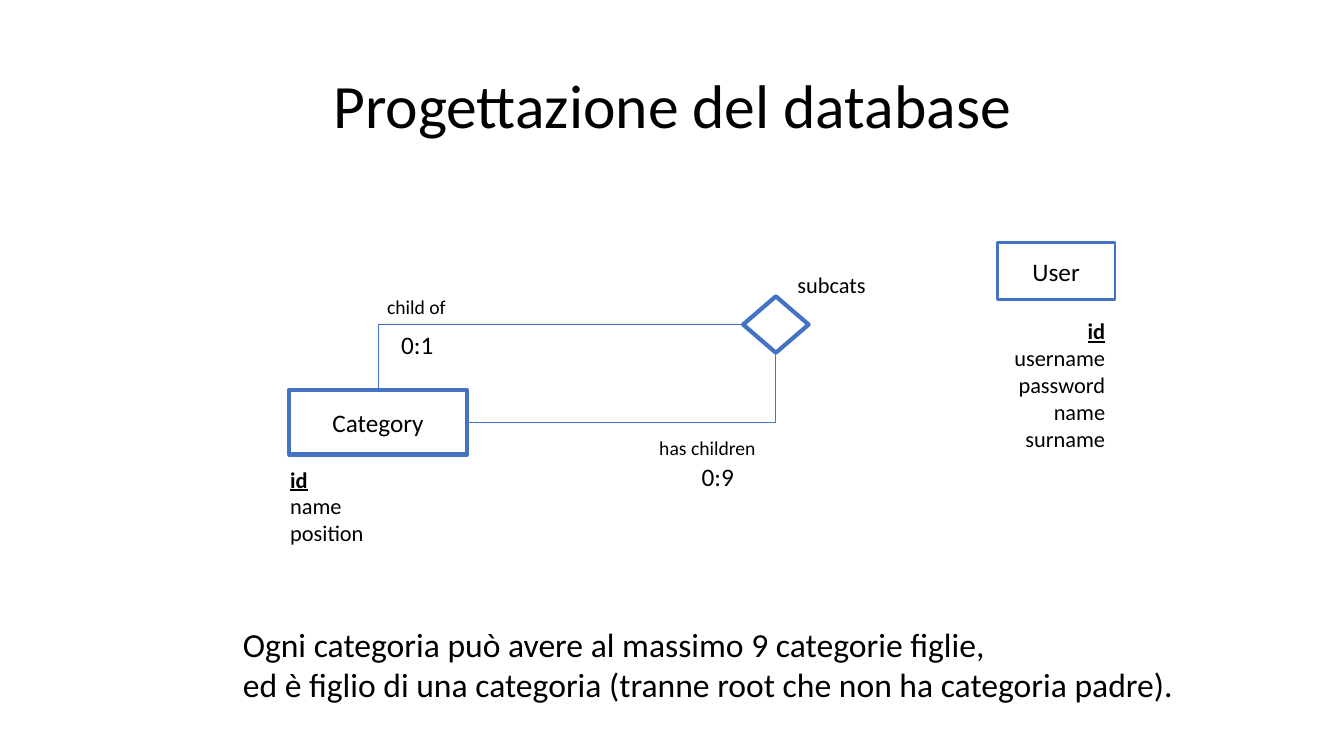
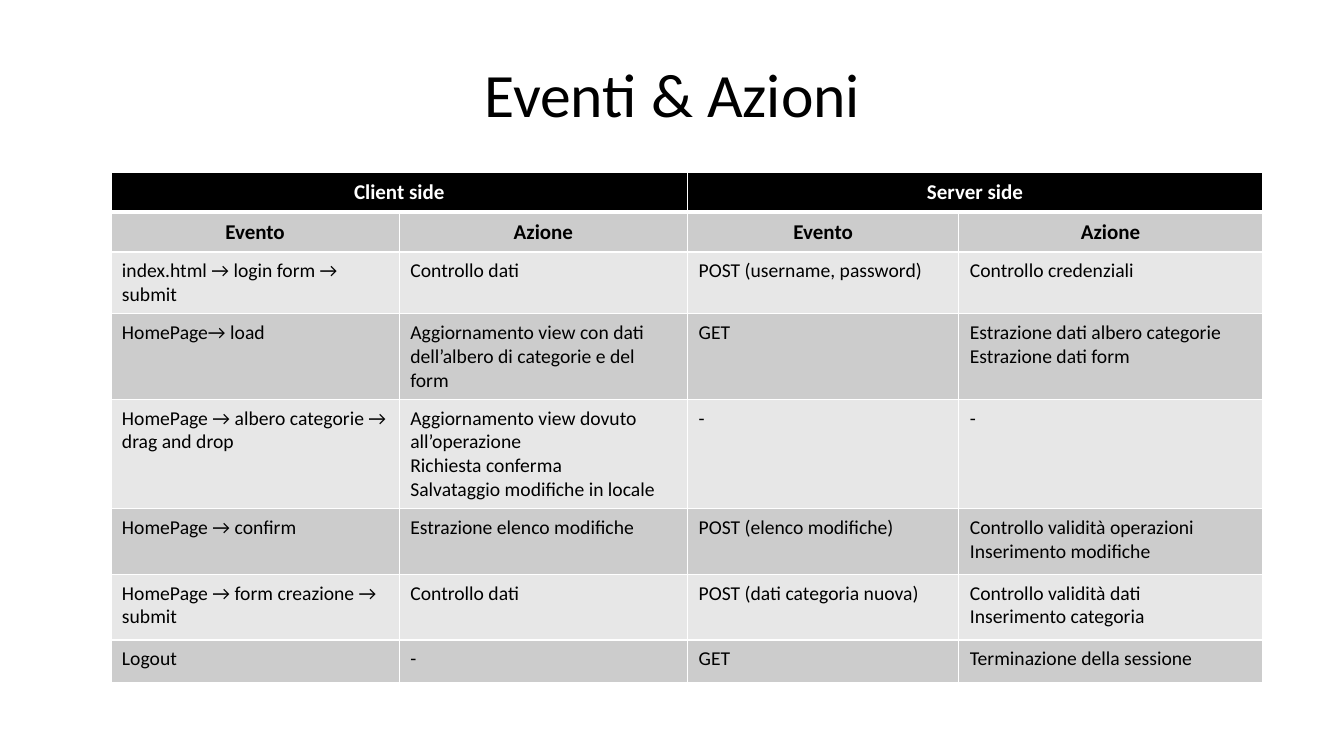
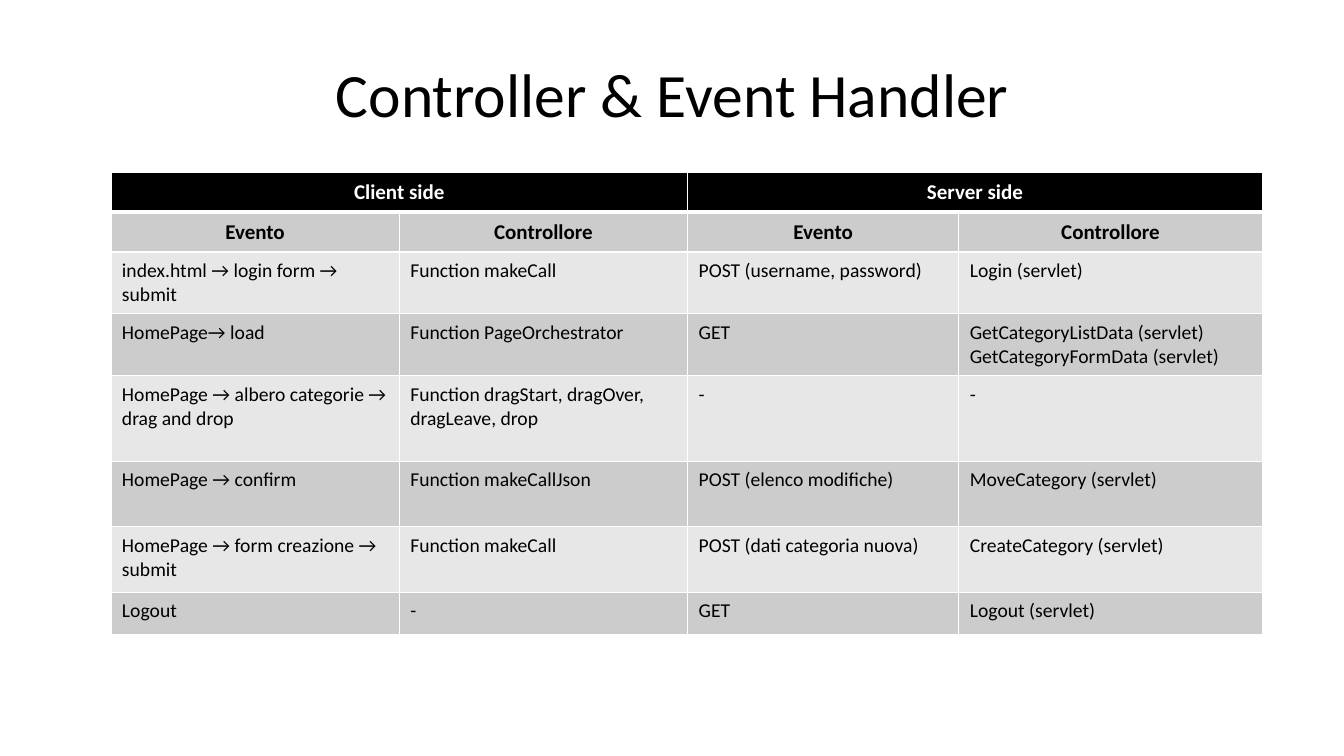
from lxml import etree
from pptx import Presentation
from pptx.dml.color import RGBColor
from pptx.enum.shapes import MSO_CONNECTOR, MSO_SHAPE
from pptx.enum.text import MSO_ANCHOR, MSO_AUTO_SIZE, PP_ALIGN
from pptx.oxml.ns import qn
from pptx.util import Inches, Pt

FONT = "Calibri"
BLACK = RGBColor(0x00, 0x00, 0x00)
WHITE = RGBColor(0xFF, 0xFF, 0xFF)
BLUE = RGBColor(0x44, 0x72, 0xC4)
DARK_BAND = RGBColor(0xCC, 0xCC, 0xCC)
LIGHT_BAND = RGBColor(0xE7, 0xE7, 0xE7)
LEFT, CENTER, RIGHT = PP_ALIGN.LEFT, PP_ALIGN.CENTER, PP_ALIGN.RIGHT
MIDDLE = MSO_ANCHOR.MIDDLE
NO_FIT, GROW = MSO_AUTO_SIZE.NONE, MSO_AUTO_SIZE.SHAPE_TO_FIT_TEXT
RECTANGLE, DIAMOND = MSO_SHAPE.RECTANGLE, MSO_SHAPE.DIAMOND
ELBOW = MSO_CONNECTOR.ELBOW
TOP_SITE, LEFT_SITE, BOTTOM_SITE, RIGHT_SITE = range(4)
TITLE_ONLY = 5
COLUMN_WIDTHS = (2.86, 2.86, 2.69, 3.01)
ROW_HEIGHTS = (0.39, 0.39, 0.47, 0.47, 0.85, 0.65, 0.65, 0.42)


class DeckBuilder:
    def __init__(self):
        self.deck = Presentation()
        self.deck.slide_width = Inches(13.33)
        self.deck.slide_height = Inches(7.5)
        self.page = None

    def set_text(self, frame, text, size, align=LEFT, color=BLACK, bold=False):
        frame.text = text
        for para in frame.paragraphs:
            para.alignment = align
            para.font.name = FONT
            para.font.size = Pt(size)
            para.font.color.rgb = color
            para.font.bold = bold

    def add_page(self, title, top=0.37, height=1.2):
        self.page = self.deck.slides.add_slide(self.deck.slide_layouts[TITLE_ONLY])
        box = self.page.shapes.title
        box.left, box.top = Inches(0.92), Inches(top)
        box.width, box.height = Inches(11.5), Inches(height)
        frame = box.text_frame
        frame.auto_size = NO_FIT
        frame.vertical_anchor = MIDDLE
        self.set_text(frame, title, 44, CENTER)
        frame.paragraphs[0].line_spacing = 0.9

    def add_node(self, kind, left, top, width, height, line_width, text=""):
        node = self.page.shapes.add_shape(
            kind, Inches(left), Inches(top), Inches(width), Inches(height))
        node.shadow.inherit = False
        node.fill.solid()
        node.fill.fore_color.rgb = WHITE
        node.line.color.rgb = BLUE
        node.line.width = Pt(line_width)
        if text:
            node.text_frame.vertical_anchor = MIDDLE
            self.set_text(node.text_frame, text, 18, CENTER)
        return node

    def add_link(self, start, start_site, end, end_site):
        link = self.page.shapes.add_connector(ELBOW, 0, 0, 0, 0)
        link.begin_connect(start, start_site)
        link.end_connect(end, end_site)
        link.line.color.rgb = BLUE
        link.line.width = Pt(0.5)
        properties = link._element.spPr
        properties.find(qn("a:prstGeom")).set("prst", "bentConnector2")
        etree.SubElement(properties, qn("a:effectLst"))

    def add_text(self, left, top, width, height, text, size, align=LEFT, wrap=False):
        box = self.page.shapes.add_textbox(
            Inches(left), Inches(top), Inches(width), Inches(height))
        frame = box.text_frame
        frame.word_wrap = wrap
        frame.auto_size = NO_FIT if wrap else GROW
        self.set_text(frame, text, size, align)
        return frame

    def add_attributes(self, left, top, width, height, names, align=LEFT, wrap=False):
        frame = self.add_text(
            left, top, width, height, "\n".join(names), 16, align, wrap)
        key = frame.paragraphs[0]
        key.font.bold = True
        key.font.underline = True

    def add_border(self, cell, side, width):
        line = etree.SubElement(
            cell._tc.get_or_add_tcPr(), qn(f"a:ln{side}"), w=str(Pt(width)))
        fill = etree.SubElement(line, qn("a:solidFill"))
        etree.SubElement(fill, qn("a:srgbClr"), val=str(WHITE))

    def style_cell(self, cell, row, text):
        cell.margin_left = cell.margin_right = Inches(0.11)
        cell.margin_top = cell.margin_bottom = Inches(0.07)
        thick_side = {0: "B", 1: "T"}.get(row)
        for side in "LRTB":
            self.add_border(cell, side, 3 if side == thick_side else 1)
        cell.fill.solid()
        if row == 0:
            cell.fill.fore_color.rgb = BLACK
        else:
            cell.fill.fore_color.rgb = DARK_BAND if row % 2 else LIGHT_BAND
        if row < 2:
            self.set_text(
                cell.text_frame, text, 15, CENTER, BLACK if row else WHITE, True)
        else:
            self.set_text(cell.text_frame, text, 14)

    def add_event_table(self, heading, client_entries, server_entries):
        rows = [("Client side", "", "Server side", ""),
                ("Evento", heading, "Evento", heading)]
        rows += zip(CLIENT_EVENTS, client_entries, SERVER_EVENTS, server_entries)
        table = self.page.shapes.add_table(
            len(rows), len(COLUMN_WIDTHS), Inches(1.1), Inches(1.71),
            Inches(sum(COLUMN_WIDTHS)), Inches(sum(ROW_HEIGHTS))).table
        table.first_row = False
        table.horz_banding = False
        for column, width in zip(table.columns, COLUMN_WIDTHS):
            column.width = Inches(width)
        for row, height in zip(table.rows, ROW_HEIGHTS):
            row.height = Inches(height)
        for row, texts in enumerate(rows):
            for column, text in enumerate(texts):
                self.style_cell(table.cell(row, column), row, text)
        for column in (0, 2):
            table.cell(0, column).merge(table.cell(0, column + 1))


CLIENT_EVENTS = (
    "index.html → login form → submit",
    "HomePage→ load",
    "HomePage → albero categorie → drag and drop",
    "HomePage → confirm",
    "HomePage → form creazione → submit",
    "Logout",
)
SERVER_EVENTS = (
    "POST (username, password)",
    "GET",
    "-",
    "POST (elenco modifiche)",
    "POST (dati categoria nuova)",
    "GET",
)
CLIENT_ACTIONS = (
    "Controllo dati",
    "Aggiornamento view con dati dell’albero di categorie e del form",
    "Aggiornamento view dovuto all’operazione\n"
    "Richiesta conferma\nSalvataggio modifiche in locale",
    "Estrazione elenco modifiche",
    "Controllo dati",
    "-",
)
SERVER_ACTIONS = (
    "Controllo credenziali",
    "Estrazione dati albero categorie\nEstrazione dati form",
    "-",
    "Controllo validità operazioni\nInserimento modifiche",
    "Controllo validità dati\nInserimento categoria",
    "Terminazione della sessione",
)
CLIENT_CONTROLLERS = (
    "Function makeCall",
    "Function PageOrchestrator",
    "Function dragStart, dragOver, dragLeave, drop",
    "Function makeCallJson",
    "Function makeCall",
    "-",
)
SERVER_CONTROLLERS = (
    "Login (servlet)",
    "GetCategoryListData (servlet)\nGetCategoryFormData (servlet)",
    "-",
    "MoveCategory (servlet)",
    "CreateCategory (servlet)",
    "Logout (servlet)",
)

builder = DeckBuilder()

builder.add_page("Progettazione del database", 0.35, 1.45)
category = builder.add_node(RECTANGLE, 2.87, 3.87, 1.76, 0.64, 3, "Category")
subcats = builder.add_node(DIAMOND, 7.37, 2.94, 0.65, 0.56, 3)
builder.add_node(RECTANGLE, 9.89, 2.41, 1.17, 0.56, 2, "User")
builder.add_link(category, RIGHT_SITE, subcats, BOTTOM_SITE)
builder.add_link(subcats, LEFT_SITE, category, TOP_SITE)
builder.add_text(6.86, 4.53, 0.53, 0.4, "0:9", 18)
builder.add_text(6.44, 4.28, 1.17, 0.34, "has children", 14)
builder.add_text(3.74, 2.88, 0.79, 0.34, "child of", 14)
builder.add_text(3.88, 3.22, 0.53, 0.4, "0:1", 18)
builder.add_text(7.81, 2.64, 0.89, 0.37, "subcats", 16)
builder.add_attributes(2.78, 4.57, 0.94, 0.91, ("id", "name", "position"))
builder.add_attributes(
    9.59, 3.1, 1.47, 1.42,
    ("id", "username", "password", "name", "surname"), RIGHT, True)
builder.add_text(
    2.31, 6.14, 9.51, 0.91,
    "Ogni categoria può avere al massimo 9 categorie figlie,\n"
    "ed è figlio di una categoria (tranne root che non ha categoria padre).", 24)

builder.add_page("Eventi & Azioni")
builder.add_event_table("Azione", CLIENT_ACTIONS, SERVER_ACTIONS)

builder.add_page("Controller & Event Handler")
builder.add_event_table("Controllore", CLIENT_CONTROLLERS, SERVER_CONTROLLERS)

builder.deck.save("out.pptx")
